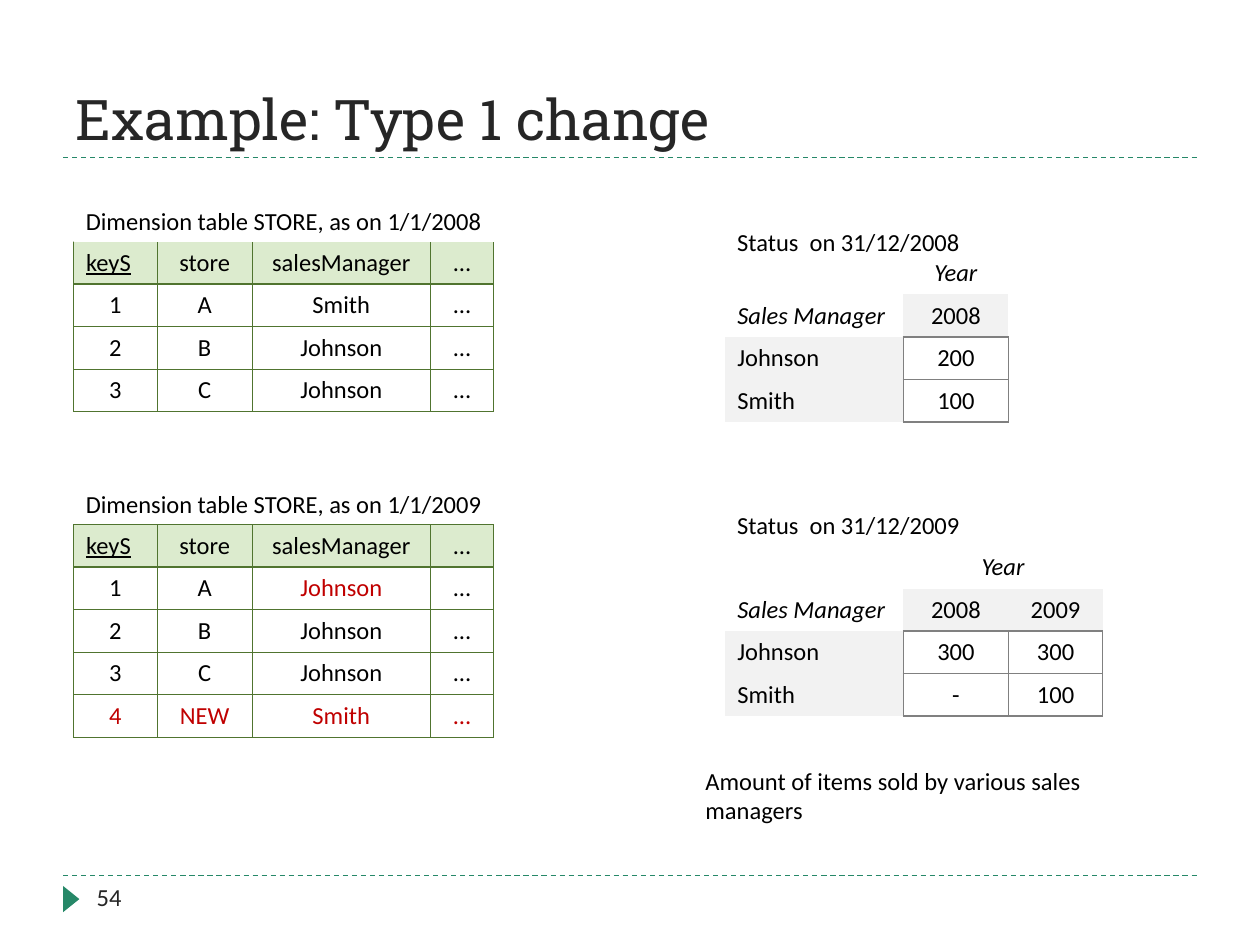
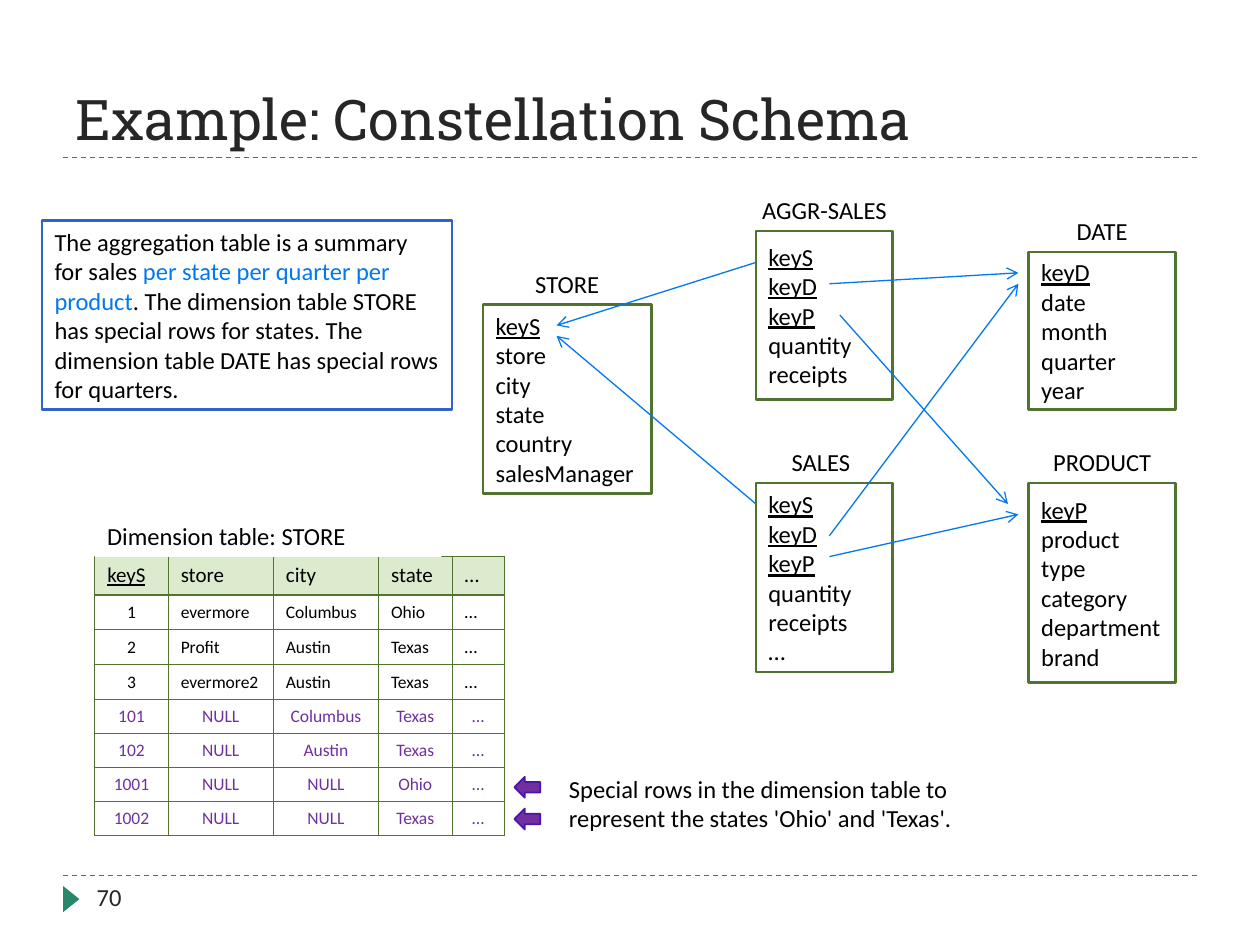
from lxml.etree import SubElement
from pptx import Presentation
from pptx.dml.color import RGBColor
from pptx.enum.dml import MSO_LINE
from pptx.enum.shapes import MSO_CONNECTOR as Connector, MSO_SHAPE as Shape
from pptx.enum.text import MSO_ANCHOR as Anchor, MSO_AUTO_SIZE as AutoSize, PP_ALIGN as Align
from pptx.oxml.ns import qn
from pptx.util import Cm, Pt

COLORS = {
    "white": "FFFFFF", "black": "000000", "ink": "262626", "teal": "268868",
    "green": "50742F", "pale green": "DCEBCE", "pale gray": "F2F2F2", "gray": "808080",
    "red": "C00000", "blue": "0078F0", "frame blue": "3163CA",
    "purple": "7030A0", "deep purple": "4B14AA",
}
PLAIN_TABLE = "{2D5ABB26-0587-4C30-8999-92F81FD0307C}"
UNDERLINED = {"underline": True}


def rgb(name):
    return RGBColor.from_string(COLORS[name])


class Deck:
    body_font = "Calibri"
    title_font = "Roboto Slab"

    def __init__(self):
        self.presentation = Presentation()
        self.presentation.slide_width = Cm(25.4)
        self.presentation.slide_height = Cm(19.05)
        self.slide = None

    def start(self, title, number):
        layout = self.presentation.slide_layouts[5]
        self.slide = self.presentation.slides.add_slide(layout)
        for height in (17.65, 3.18):
            self.line((1.27, height), (24.13, height), "teal", dashed=True)
        self.shape(Shape.ISOSCELES_TRIANGLE, (1.17, 17.96, 0.53, 0.33), "teal", rotation=90)
        self.title(title)
        self.box((1.7, 17.65, 5.5, 1.02), [[(number, {"color": "ink"})]], fill=None)

    def title(self, text):
        shape = self.slide.shapes.title
        shape.left, shape.top, shape.width, shape.height = map(Cm, (1.27, 0.64, 22.86, 2.54))
        frame = shape.text_frame
        frame.auto_size = AutoSize.NONE
        frame.vertical_anchor = Anchor.BOTTOM
        style = {"size": 32, "color": "ink", "font": self.title_font}
        self.add_text(frame, [[(text, style)]])

    def add_text(self, frame, paragraphs, align=Align.LEFT):
        frame.word_wrap = True
        for index, runs in enumerate(paragraphs):
            paragraph = frame.add_paragraph() if index else frame.paragraphs[0]
            paragraph.alignment = align
            for text, style in runs:
                run = paragraph.add_run()
                run.text = text
                font = run.font
                font.name = style.get("font", self.body_font)
                font.size = Pt(style.get("size", 14))
                font.color.rgb = rgb(style.get("color", "black"))
                font.underline = style.get("underline")
                font.italic = style.get("italic")

    def shape(self, kind, place, fill, outline=None, weight=1.5, rotation=0):
        shape = self.slide.shapes.add_shape(kind, *map(Cm, place))
        shape.shadow.inherit = False
        shape.rotation = rotation
        if fill:
            shape.fill.solid()
            shape.fill.fore_color.rgb = rgb(fill)
        else:
            shape.fill.background()
        if outline:
            shape.line.color.rgb = rgb(outline)
            shape.line.width = Pt(weight)
        else:
            shape.line.fill.background()
        return shape

    def box(self, place, paragraphs, fill="white", outline=None, anchor=Anchor.TOP,
            align=Align.LEFT):
        shape = self.shape(Shape.RECTANGLE, place, fill, outline)
        shape.text_frame.vertical_anchor = anchor
        self.add_text(shape.text_frame, paragraphs, align)

    def caption(self, left, top, width, text, height=0.86):
        self.box((left, top, width, height), [[(text, {})]])

    def entity(self, name, place, keys, fields, label_place=None):
        left, top, width, height = place
        label_left, label_width = label_place or (left, width)
        self.box((label_left, top - 0.85, label_width, 0.85), [[(name, {})]],
                 anchor=Anchor.MIDDLE, align=Align.CENTER)
        paragraphs = [[(key, UNDERLINED)] for key in keys] + [[(field, {})] for field in fields]
        self.box(place, paragraphs, outline="green", anchor=Anchor.MIDDLE)

    def line(self, start, end, color, dashed=False, arrow=False):
        connector = self.slide.shapes.add_connector(
            Connector.STRAIGHT, *map(Cm, (*start, *end)))
        connector.line.color.rgb = rgb(color)
        connector.line.width = Pt(0.75)
        if dashed:
            connector.line.dash_style = MSO_LINE.DASH
        if arrow:
            SubElement(connector.line._get_or_add_ln(), qn("a:tailEnd"), type="arrow")
        SubElement(connector._element.spPr, qn("a:effectLst"))

    def table(self, left, top, widths, row_height, rows, look):
        frame = self.slide.shapes.add_table(
            len(rows), len(widths), Cm(left), Cm(top),
            Cm(sum(widths)), Cm(row_height * len(rows)))
        table = frame.table
        table.first_row = table.horz_banding = False
        table._tbl.tblPr.find(qn("a:tableStyleId")).text = PLAIN_TABLE
        for column, width in zip(table.columns, widths):
            column.width = Cm(width)
        for row_index, row in enumerate(rows):
            table.rows[row_index].height = Cm(row_height)
            for column_index, text in enumerate(row):
                self.cell(table.cell(row_index, column_index), text,
                          **look(row_index, column_index))
        return table

    def cell(self, cell, text, style, align, fill=None, borders=None):
        for side, (color, weight) in (borders or {}).items():
            line = SubElement(cell._tc.get_or_add_tcPr(), qn("a:ln" + side),
                              w=str(Pt(weight)))
            solid = SubElement(line, qn("a:solidFill"))
            SubElement(solid, qn("a:srgbClr"), val=COLORS[color])
        if fill:
            cell.fill.solid()
            cell.fill.fore_color.rgb = rgb(fill)
        else:
            cell.fill.background()
        cell.vertical_anchor = Anchor.MIDDLE
        if text:
            self.add_text(cell.text_frame, [[(text, style)]], align)
        else:
            SubElement(cell.text_frame.paragraphs[0]._p, qn("a:endParaRPr"), sz="1400")


def green_borders(row):
    borders = {side: ("green", 0.5) for side in "LRTB"}
    if row < 2:
        borders["T" if row else "B"] = ("green", 1.5)
    return borders


def dimension_look(red_cells=()):
    def look(row, column):
        style = {"color": "red" if (row, column) in red_cells else "black",
                 "underline": (row, column) == (0, 0)}
        return {"style": style, "borders": green_borders(row),
                "align": Align.CENTER if row or column else Align.LEFT,
                "fill": None if row else "pale green"}
    return look


def status_look(row, column):
    data = row > 1 and column > 0
    heading = (row > 1) != (column > 0) and row > 0
    borders = {side: ("gray", 1) for side in "LRTB"} if data else {}
    if heading:
        borders = {"R" if row > 1 else "B": ("gray", 1)}
    return {"style": {"italic": row == 0 or (row, column) == (1, 0)},
            "align": Align.CENTER if column else Align.LEFT,
            "fill": "pale gray" if heading else None, "borders": borders}


def special_rows_look(row, column):
    special = row > 3
    size = 12 if row == 0 else 10.5 if column == 4 and not special else 10
    centered = special or (row and column == 0)
    return {"style": {"size": size, "color": "purple" if special else "black",
                      "underline": (row, column) == (0, 0)},
            "align": Align.CENTER if centered else Align.LEFT,
            "fill": None if row else "pale green", "borders": green_borders(row)}


def type_change_slide(deck):
    deck.start("Example: Type 1 change", "54")
    header = ["keyS", "store", "salesManager", "…"]
    store_widths = (1.69, 1.91, 3.6, 1.27)
    stores_2008 = [header, ["1", "A", "Smith", "…"], ["2", "B", "Johnson", "…"],
                   ["3", "C", "Johnson", "…"]]
    stores_2009 = [header, ["1", "A", "Johnson", "…"], *stores_2008[2:],
                   ["4", "NEW", "Smith", "…"]]
    changed = {(1, 2), *((4, column) for column in range(4))}
    deck.table(1.48, 4.87, store_widths, 0.85, stores_2008, dimension_look())
    deck.caption(1.48, 4.02, 8.89, "Dimension table STORE, as on 1/1/2008")
    deck.caption(1.48, 9.74, 9.1, "Dimension table STORE, as on 1/1/2009")
    deck.table(1.48, 10.58, store_widths, 0.85, stores_2009, dimension_look(changed))

    deck.table(14.61, 5.08, (3.6, 2.12), 0.85,
               [["", "Year"], ["Sales Manager", "2008"], ["Johnson", "200"], ["Smith", "100"]],
               status_look)
    status_2009 = deck.table(
        14.61, 11.01, (3.6, 2.12, 1.9), 0.85,
        [["", "Year", ""], ["Sales Manager", "2008", "2009"],
         ["Johnson", "300", "300"], ["Smith", "-", "100"]], status_look)
    status_2009.cell(0, 1).merge(status_2009.cell(0, 2))
    deck.caption(13.97, 15.31, 9.1, "Amount of items sold by various sales managers", 1.45)
    deck.caption(14.61, 4.45, 7.62, "Status  on 31/12/2008")
    deck.caption(14.61, 10.16, 7.62, "Status  on 31/12/2009")


def constellation_slide(deck):
    deck.start("Example: Constellation Schema", "70")
    keys = ["keyS", "keyD", "keyP"]
    measures = ["quantity", "receipts"]
    deck.entity("SALES", (15.24, 9.74, 2.75, 3.81), keys, measures + ["…"], (15.24, 2.62))
    deck.entity("STORE", (9.74, 6.14, 3.39, 3.81), ["keyS"],
                ["store", "city", "state", "country", "salesManager"])
    deck.entity("DATE", (20.74, 5.08, 2.96, 3.18), ["keyD"],
                ["date", "month", "quarter", "year"])
    deck.entity("PRODUCT", (20.74, 9.74, 2.96, 4.02), ["keyP"],
                ["product", "type", "category", "department", "brand"])
    deck.entity("AGGR-SALES", (15.24, 4.66, 2.75, 3.39), keys, measures, (14.61, 4.02))
    for start, end in (
            ((15.24, 10.16), (11.22, 6.77)), ((16.72, 10.8), (20.53, 5.72)),
            ((16.72, 11.22), (20.53, 10.37)), ((15.24, 5.29), (11.22, 6.56)),
            ((16.72, 5.72), (20.53, 5.5)), ((16.93, 6.35), (20.32, 10.16))):
        deck.line(start, end, "blue", arrow=True)

    deck.table(1.91, 11.22, (1.48, 2.12, 2.12, 1.48, 1.06), 0.6, [
        ["keyS", "store", "city", "state", "…"],
        ["1", "evermore", "Columbus", "Ohio", "…"],
        ["2", "Profit", "Austin", "Texas", "…"],
        ["3", "evermore2", "Austin", "Texas", "…"],
        ["101", "NULL", "Columbus", "Texas", "…"],
        ["102", "NULL", "Austin", "Texas", "…"],
        ["1001", "NULL", "NULL", "Ohio", "…"],
        ["1002", "NULL", "NULL", "Texas", "…"],
    ], special_rows_look)
    deck.caption(1.91, 10.37, 6.99, "Dimension table: STORE")
    deck.box((11.22, 15.66, 8.47, 1.06), [[(
        "Special rows in the dimension table to represent the states 'Ohio' and 'Texas'.", {})]],
        anchor=Anchor.MIDDLE)
    for top in (15.66, 16.3):
        deck.shape(Shape.RIGHT_ARROW, (10.37, top, 0.52, 0.42), "purple",
                   "deep purple", weight=1, rotation=180)
    deck.box((0.85, 4.45, 8.26, 3.81), [[
        ("The aggregation table is a summary for sales ", {}),
        ("per state per quarter per product", {"color": "blue"}),
        (". The dimension table STORE has special rows for states. "
         "The dimension table DATE has special rows for quarters.", {}),
    ]], outline="frame blue", anchor=Anchor.MIDDLE)


def main():
    deck = Deck()
    type_change_slide(deck)
    constellation_slide(deck)
    deck.presentation.save("out.pptx")


if __name__ == "__main__":
    main()
